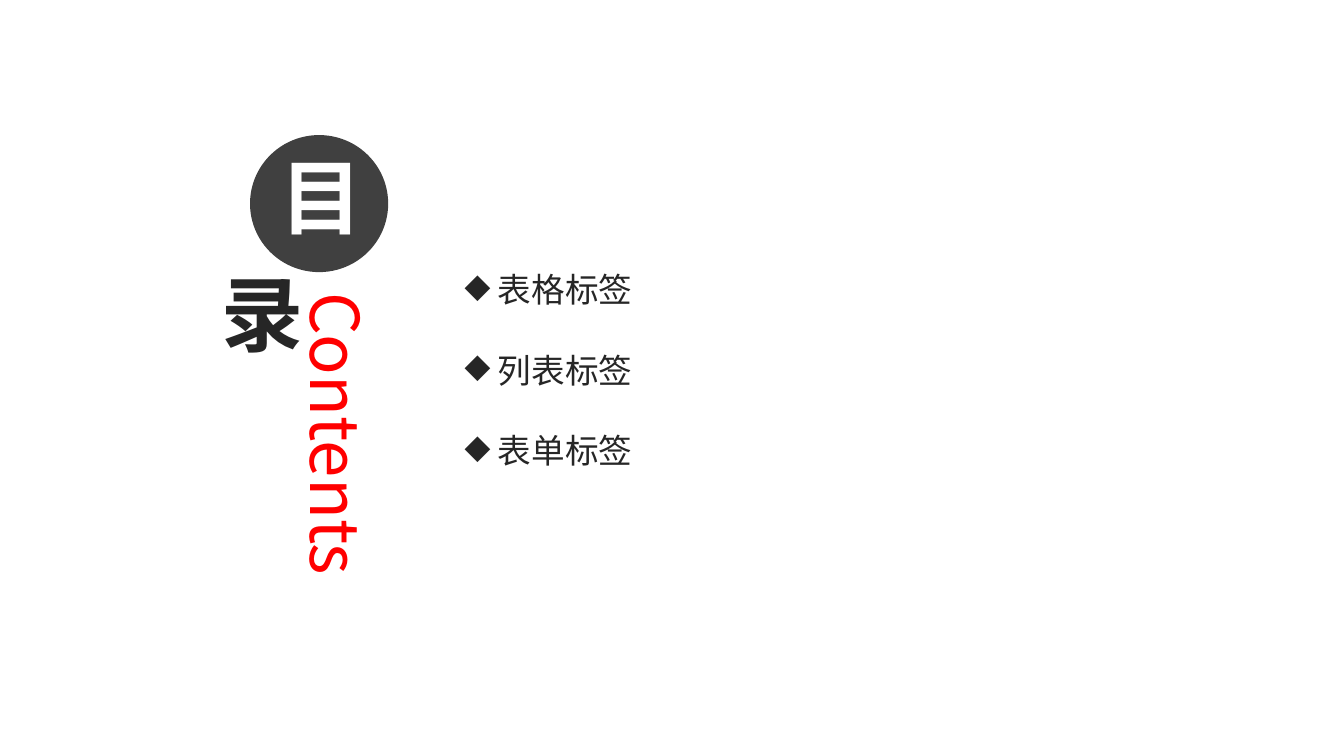
from lxml import etree
from pptx import Presentation, util as u
from pptx.dml.color import RGBColor
from pptx.enum import shapes, text
from pptx.oxml import ns

WHITE = RGBColor(0xFF, 0xFF, 0xFF)
INK = RGBColor(0x26, 0x26, 0x26)
CHARCOAL = RGBColor(0x40, 0x40, 0x40)
RED = RGBColor(0xFF, 0x00, 0x00)


class ContentsSlide:
    """Holds the style and the slide; boxes are percentages of the slide size."""
    font_name = "Noto Sans CJK SC"

    def __init__(self, deck):
        self.deck = deck
        self.slide = deck.slides.add_slide(deck.slide_layouts[6])

    def place(self, box):
        left, top, width, height = box
        w, h = self.deck.slide_width / 100, self.deck.slide_height / 100
        return [round(v) for v in (left * w, top * h, width * w, height * h)]

    def add_wording(self, paragraph, wording, color, **font_format):
        run = paragraph.add_run()
        run.text = wording
        for name, value in {"name": self.font_name, **font_format}.items():
            setattr(run.font, name, value)
        run.font.color.rgb = color
        properties = run._r.get_or_add_rPr()
        etree.SubElement(properties, ns.qn("a:ea"), typeface=self.font_name)

    def circle(self, box, glyph, color, fill=None, spacing=None, **frame_format):
        disc = self.slide.shapes.add_shape(shapes.MSO_SHAPE.OVAL, *self.place(box))
        disc.shadow.inherit = False
        disc.line.fill.background()
        if fill is None:
            disc.fill.background()
        else:
            disc.fill.solid()
            disc.fill.fore_color.rgb = fill
        frame = disc.text_frame
        settings = {"vertical_anchor": text.MSO_ANCHOR.MIDDLE, **frame_format}
        for name, value in settings.items():
            setattr(frame, name, value)
        paragraph = frame.paragraphs[0]
        paragraph.alignment = text.PP_ALIGN.CENTER
        paragraph.line_spacing = spacing
        self.add_wording(paragraph, glyph, color, size=u.Pt(58.6), bold=True)

    def text_box(self, box):
        frame = self.slide.shapes.add_textbox(*self.place(box)).text_frame
        frame.word_wrap = True
        return frame

    def vertical_text(self, box, wording, color, size):
        frame = self.text_box(box)
        frame._txBody.bodyPr.set("vert", "eaVert")
        self.add_wording(frame.paragraphs[0], wording, color, size=size)

    def bullets(self, box, topics, color, size, indent=u.Inches(0.19)):
        frame = self.text_box(box)
        frame.auto_size = text.MSO_AUTO_SIZE.SHAPE_TO_FIT_TEXT
        for index, topic in enumerate(topics):
            paragraph = frame.add_paragraph() if index else frame.paragraphs[0]
            paragraph.line_spacing = 2.0
            properties = paragraph._p.get_or_add_pPr()
            properties.set("marL", str(indent))
            properties.set("indent", str(-indent))
            bullet_color = etree.SubElement(properties, ns.qn("a:buClr"))
            etree.SubElement(bullet_color, ns.qn("a:srgbClr"), val=str(color))
            etree.SubElement(properties, ns.qn("a:buChar"), char="◆")
            self.add_wording(paragraph, f" {topic}", color, size=size)


deck = Presentation()
deck.slide_width, deck.slide_height = u.Inches(13.33), u.Inches(7.5)
contents = ContentsSlide(deck)

# Heading: vertical English word and the two-character title
contents.vertical_text((21.45, 37.33, 7.05, 51.33), "Contents", RED, u.Pt(48))
contents.circle((18.6, 17.87, 10.28, 18.13), "目", WHITE, fill=CHARCOAL,
                spacing=u.Pt(70), margin_bottom=u.Inches(0.2))
contents.circle((14.55, 34.27, 8.03, 14.27), "录", INK)

# Topics
contents.bullets((33.83, 29.6, 47.26, 33.6),
                 ("表格标签", "列表标签", "表单标签"), INK, u.Pt(24))

deck.save("out.pptx")
